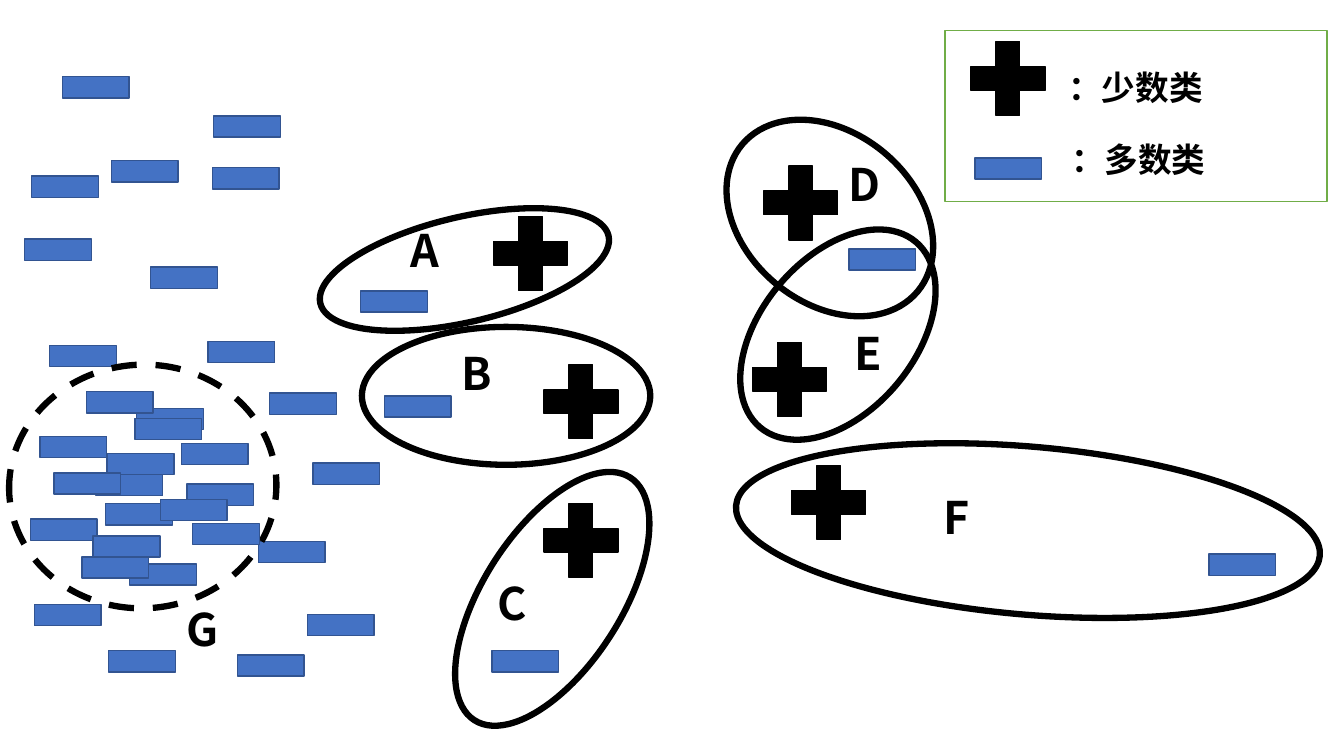
import pptx
import pptx.dml.color
import pptx.enum.dml
import pptx.enum.shapes
import pptx.enum.text
import pptx.oxml.ns
import pptx.util
from lxml import etree

Shapes = pptx.enum.shapes.MSO_SHAPE
FONT = "Noto Sans CJK SC"
BLACK, WHITE, BLUE, NAVY, GREEN = "000000", "FFFFFF", "4472C4", "325491", "70AD47"
PLUS_SIZE, MINUS_SIZE, LABEL_WIDTH = 72, 64.8, 119

# Left and top of each sample, in points
MINORITY = [(343, 145), (379, 251), (379, 350), (528, 235), (536, 109), (556, 323)]
PAIRED_MAJORITY = [
    (143, 95), (140, 219), (249, 183), (27, 222), (266, 258),
    (68, 299), (215, 306), (343, 440), (855, 371), (598, 153),
]
SCATTERED_MAJORITY = [
    (176, 362), (84, 378), (89, 267), (99, 166), (9, 146), (71, 90),
    (144, 58), (36, 30), (14, 101), (20, 287), (16, 407), (13, 346),
    (67, 335), (161, 443), (211, 414), (69, 440),
]
DENSE_MAJORITY = [
    (121, 292), (125, 321), (60, 314), (30, 313), (58, 358), (129, 349),
    (106, 332), (50, 373), (53, 255), (88, 274), (184, 256),
]
# Ellipse box, rotation, and label position of each group
GROUPS = {
    "D": ((511, 95, 163.5, 121.5), 40, (599, 108.5)),
    "B": ((258.5, 233.5, 206, 98.5), 0, (322.5, 243.5)),
    "A": ((226, 155, 211.5, 75), -13.2, (286.5, 155.5)),
    "C": ((291.5, 378.5, 206, 98.5), -57.3, (348.5, 407.5)),
    "F": ((525, 319, 418.5, 120), 4.9, (667, 346)),
    "E": ((543.5, 152.5, 110, 173), 40, (603.5, 229)),
}
DENSE_GROUP = ("G", (6.5, 260.5, 191, 174), -3.4, (126, 426))
LEGEND_BOX = (675, 22, 273, 122)
LEGEND_TEXTS = [("：少数类", (756, 44)), ("：多数类", (758, 96))]


def color(value):
    """Turn a hex string into a colour."""
    return pptx.dml.color.RGBColor.from_string(value)


def add_shape(kind, box, fill=None, line=BLACK, width=1, rotation=0, dashed=False):
    """Add an outlined preset shape, filled when a fill is given."""
    shape = slide.shapes.add_shape(kind, *map(pptx.util.Pt, box))
    shape.shadow.inherit = False
    shape.rotation = rotation
    if fill:
        shape.fill.solid()
        shape.fill.fore_color.rgb = color(fill)
    else:
        shape.fill.background()
    shape.line.color.rgb = color(line)
    shape.line.width = pptx.util.Pt(width)
    if dashed:
        shape.line.dash_style = pptx.enum.dml.MSO_LINE.DASH


def add_minority(positions):
    """Add a black plus at each position."""
    for position in positions:
        add_shape(Shapes.MATH_PLUS, (*position, PLUS_SIZE, PLUS_SIZE), BLACK)


def add_majority(positions):
    """Add a blue bar at each position."""
    for position in positions:
        add_shape(Shapes.MATH_MINUS, (*position, MINUS_SIZE, MINUS_SIZE), BLUE, NAVY)


def add_text(text, position, size=32, height=46):
    """Add a bold black label."""
    box = (*position, LABEL_WIDTH, height)
    frame = slide.shapes.add_textbox(*map(pptx.util.Pt, box)).text_frame
    frame.word_wrap = True
    frame.auto_size = pptx.enum.text.MSO_AUTO_SIZE.SHAPE_TO_FIT_TEXT
    run = frame.paragraphs[0].add_run()
    run.text = text
    run.font.name = FONT
    run.font.size = pptx.util.Pt(size)
    run.font.bold = True
    run.font.color.rgb = color(BLACK)
    east_asian = etree.SubElement(run.font._element, pptx.oxml.ns.qn("a:ea"))
    east_asian.set("typeface", FONT)


def add_ellipse(box, rotation, dashed=False):
    """Add the thick outline of a group."""
    add_shape(Shapes.OVAL, box, width=4.5, rotation=rotation, dashed=dashed)


presentation = pptx.Presentation()
presentation.slide_width = pptx.util.Pt(960)
presentation.slide_height = pptx.util.Pt(540)
slide = presentation.slides.add_slide(presentation.slide_layouts[6])
slide.background.fill.solid()
slide.background.fill.fore_color.rgb = color(WHITE)

add_minority(MINORITY)
add_majority(PAIRED_MAJORITY)

add_shape(Shapes.RECTANGLE, LEGEND_BOX, WHITE, GREEN)
add_minority([(684, 20)])
add_majority([(688, 88)])
for text, position in LEGEND_TEXTS:
    add_text(text, position, size=24, height=36)

for box, rotation, _ in GROUPS.values():
    add_ellipse(box, rotation)
for name, (_, _, position) in GROUPS.items():
    add_text(name, position)

add_majority(SCATTERED_MAJORITY)
dense_name, dense_box, dense_rotation, dense_position = DENSE_GROUP
add_ellipse(dense_box, dense_rotation, dashed=True)
add_majority(DENSE_MAJORITY)
add_text(dense_name, dense_position)

presentation.save("out.pptx")
